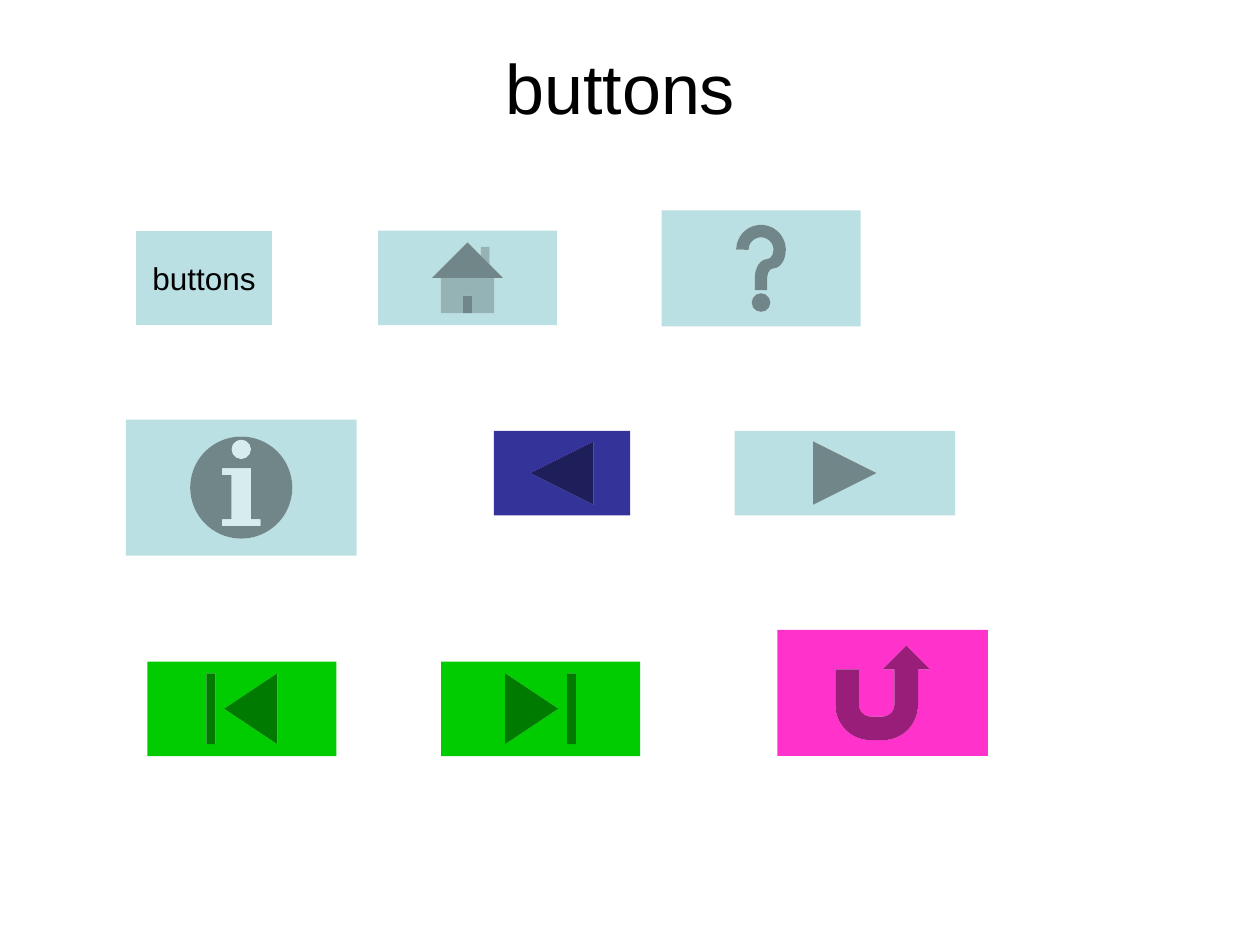
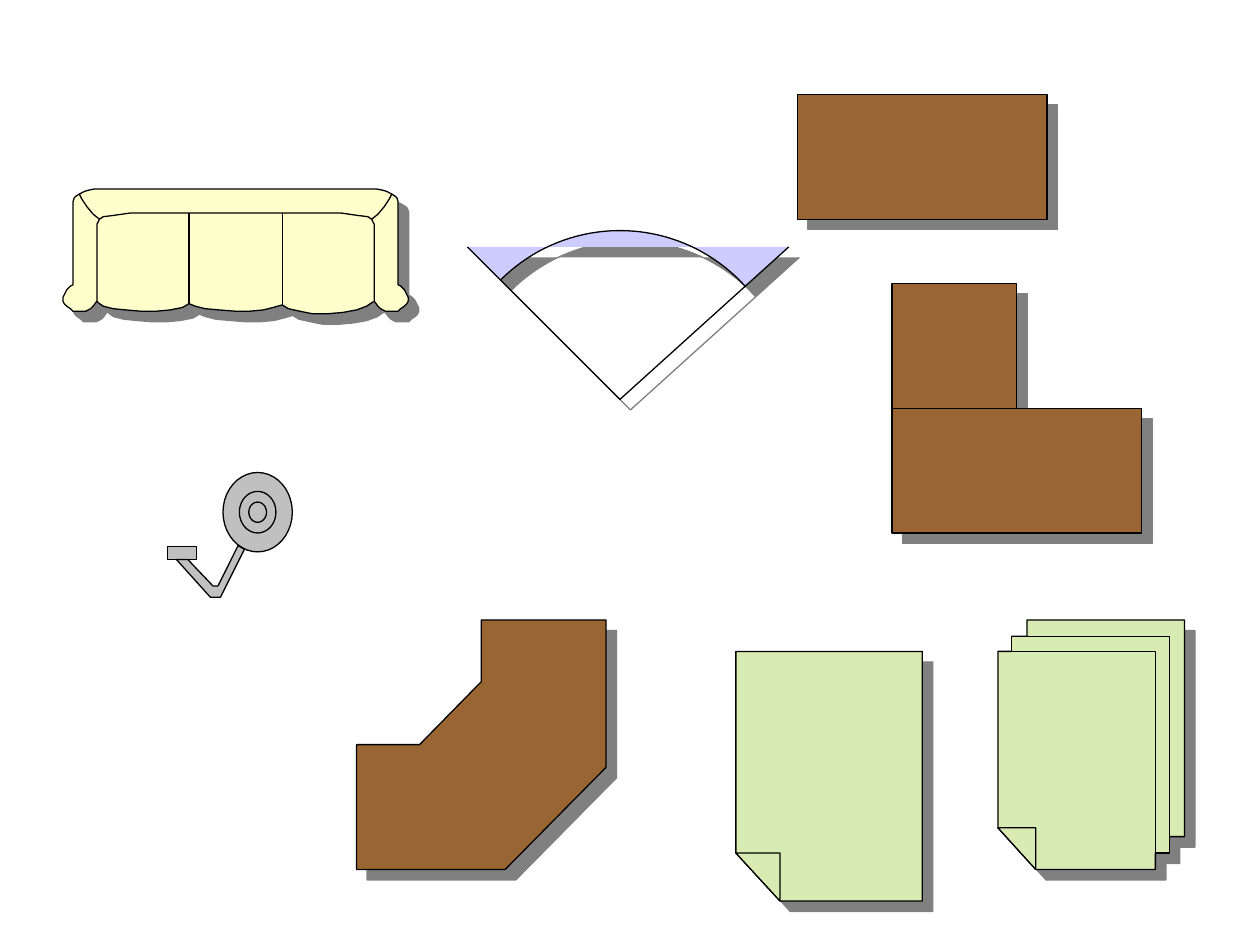
from dataclasses import dataclass
from math import atan2, cos, hypot, pi, sin
from typing import Any

from lxml.etree import SubElement
from pptx import Presentation
from pptx.dml.color import RGBColor
from pptx.enum.shapes import MSO_SHAPE
from pptx.enum.text import MSO_ANCHOR, PP_ALIGN
from pptx.oxml.ns import qn
from pptx.util import Emu, Pt

PX = 9144
SLIDE_W, SLIDE_H = 1000, 750

BLACK = RGBColor(0x00, 0x00, 0x00)
AQUA = RGBColor(0xBB, 0xE0, 0xE3)
NAVY = RGBColor(0x33, 0x33, 0x99)
GREEN = RGBColor(0x00, 0xCC, 0x00)
PINK = RGBColor(0xFF, 0x33, 0xCC)
CREAM = RGBColor(0xFF, 0xFF, 0xCC)
LILAC = RGBColor(0xCC, 0xCC, 0xFF)
BROWN = RGBColor(0x99, 0x66, 0x33)
SILVER = RGBColor(0xC0, 0xC0, 0xC0)
PAPER = RGBColor(0xD8, 0xEB, 0xB3)
SHADE = RGBColor(0x80, 0x80, 0x80)

FONT = {"name": "Arial"}
TITLE_FRAME = {"word_wrap": True, "vertical_anchor": MSO_ANCHOR.MIDDLE}
LABEL_FRAME = {"word_wrap": False, "vertical_anchor": MSO_ANCHOR.MIDDLE}
SHADOW = {"blurRad": "0", "dist": str(Pt(8.5)), "dir": "2700000",
          "algn": "ctr", "rotWithShape": "0"}

Point = tuple[float, float]


@dataclass(frozen=True)
class Button:
    kind: MSO_SHAPE
    x: int
    y: int
    w: int
    h: int
    color: RGBColor = AQUA
    label: str = ""


@dataclass(frozen=True)
class Contour:
    points: list[Point]
    closed: bool = True


@dataclass(frozen=True)
class Figure:
    color: RGBColor
    contours: list[Contour]
    shadow: bool = True


BUTTONS = [
    Button(MSO_SHAPE.ACTION_BUTTON_CUSTOM, 108, 183, 108, 75, label="buttons"),
    Button(MSO_SHAPE.ACTION_BUTTON_HOME, 300, 183, 142, 75),
    Button(MSO_SHAPE.ACTION_BUTTON_HELP, 525, 167, 158, 92),
    Button(MSO_SHAPE.ACTION_BUTTON_INFORMATION, 100, 333, 183, 108),
    Button(MSO_SHAPE.ACTION_BUTTON_BACK_OR_PREVIOUS, 392, 342, 108, 67, NAVY),
    Button(MSO_SHAPE.ACTION_BUTTON_FORWARD_OR_NEXT, 583, 342, 175, 67),
    Button(MSO_SHAPE.ACTION_BUTTON_BEGINNING, 117, 525, 150, 75, GREEN),
    Button(MSO_SHAPE.ACTION_BUTTON_END, 350, 525, 158, 75, GREEN),
    Button(MSO_SHAPE.ACTION_BUTTON_RETURN, 617, 500, 167, 100, PINK),
]


def emu(px: float) -> Emu:
    return Emu(round(px * PX))


def apply(target: Any, values: dict[str, Any]) -> None:
    for name, value in values.items():
        setattr(target, name, value)


def write(tf: Any, text: str, size: int, frame: dict[str, Any]) -> None:
    apply(tf, frame)
    p = tf.paragraphs[0]
    p.alignment = PP_ALIGN.CENTER
    r = p.add_run()
    r.text = text
    apply(r.font, FONT | {"size": Pt(size)})
    r.font.color.rgb = BLACK


def paint(sp: Any, color: RGBColor) -> None:
    sp.shadow.inherit = False
    sp.fill.solid()
    sp.fill.fore_color.rgb = color


def add_title(s: Any, text: str) -> None:
    sp = s.shapes.add_textbox(emu(50), emu(30), emu(900), emu(78))
    write(sp.text_frame, text, 40, TITLE_FRAME)


def add_button(s: Any, b: Button) -> None:
    sp = s.shapes.add_shape(b.kind, emu(b.x), emu(b.y), emu(b.w), emu(b.h))
    paint(sp, b.color)
    sp.line.fill.background()
    if b.label:
        write(sp.text_frame, b.label, 18, LABEL_FRAME)


def split_contours(sp: Any) -> None:
    outline = next(sp._element.iter(qn("a:path")))
    target = outline
    for step in list(outline)[1:]:
        if step.tag == qn("a:moveTo"):
            target = SubElement(outline.getparent(), qn("a:path"),
                                dict(outline.attrib))
        target.append(step)


def add_shadow(sp: Any) -> None:
    effects = sp._element.spPr.find(qn("a:effectLst"))
    outer = SubElement(effects, qn("a:outerShdw"), SHADOW)
    SubElement(outer, qn("a:srgbClr"), val=str(SHADE))


def add_figure(s: Any, f: Figure) -> None:
    builder = None
    for c in f.contours:
        first, *rest = [(emu(x), emu(y)) for x, y in c.points]
        if builder is None:
            builder = s.shapes.build_freeform(*first, scale=1.0)
        else:
            builder.move_to(*first)
        builder.add_line_segments(rest, close=c.closed)
    sp = builder.convert_to_shape()
    split_contours(sp)
    paint(sp, f.color)
    sp.line.color.rgb = BLACK
    sp.line.width = Pt(0.75)
    if f.shadow:
        add_shadow(sp)


def arc(cx: float, cy: float, rx: float, ry: float, start: float = 0,
        end: float = 2 * pi, steps: int = 40) -> list[Point]:
    angles = [start + (end - start) * i / steps for i in range(steps + 1)]
    return [(cx + rx * cos(a), cy + ry * sin(a)) for a in angles]


def rectangle(x: int, y: int, w: int, h: int) -> Contour:
    return Contour([(x, y), (x + w, y), (x + w, y + h), (x, y + h)])


def sofa() -> Figure:
    middle = 187

    def mirror(points: list[Point]) -> list[Point]:
        return [(2 * middle - x, y) for x, y in reversed(points)]

    right_side = [(middle, 150), (279, 150), (293, 150), (299, 150),
                  (304, 151), (307, 152), (311, 154), (314, 156), (315, 157),
                  (316, 160), (316, 163), (316, 226), (318, 227), (321, 230),
                  (323, 234), (324, 236), (324, 239), (323, 241), (321, 243),
                  (318, 245), (316, 247), (313, 247), (309, 247), (306, 247),
                  (302, 245), (300, 243), (297, 239)]
    cushions = [(291, 243), (283, 246), (272, 248), (260, 249), (248, 249),
                (238, 247), (229, 245), (224, 242), (217, 244), (209, 246),
                (198, 247), (187, 247), (174, 246), (163, 245), (155, 243),
                (150, 241), (145, 244), (135, 246), (124, 247), (112, 247),
                (100, 246), (90, 245), (82, 243), (79, 241)]
    seat = [(261, 169), (270, 169), (284, 171), (292, 172), (295, 174),
            (296, 176), (297, 178), (297, 239)]
    corner = [(295, 174), (300, 170), (305, 164), (309, 158), (311, 154)]
    return Figure(CREAM, [
        Contour(right_side + cushions + mirror(right_side)),
        Contour(mirror(seat) + seat, False),
        Contour(corner, False),
        Contour(mirror(corner), False),
        Contour([(150, 169), (150, 241)], False),
        Contour([(224, 169), (224, 242)], False),
    ])


def corner_door() -> Figure:
    hinge, left, right = (492, 317), (371, 196), (626, 196)
    radius = 134
    start, end = (atan2(y - hinge[1], x - hinge[0])
                  for x, y in (left, right))
    swing = arc(*hinge, radius, radius, start, end)
    return Figure(LILAC, [Contour([left, hinge, *swing, hinge, right], False)])


def reel() -> Figure:
    rings = [Contour(arc(204.5, 406.5, rx, ry))
             for rx, ry in ((27.5, 31.5), (14.5, 16.5), (7, 8))]
    handle = [(169, 465), (173, 465), (189, 433), (194, 436), (175, 474),
              (167, 474), (140, 444), (149, 444), (169, 465)]
    return Figure(SILVER, [*rings, rectangle(133, 434, 23, 10),
                           Contour(handle, False)], False)


def folded_page() -> Figure:
    return Figure(PAPER, [
        Contour([(584, 517), (732, 517), (732, 715), (619, 715), (584, 677)]),
        Contour([(584, 677), (619, 677), (619, 715)]),
    ])


def page_stack() -> Figure:
    return Figure(PAPER, [
        Contour([(792, 657), (792, 517), (803, 517), (803, 505), (815, 505),
                 (815, 492), (940, 492), (940, 664), (928, 664), (928, 677),
                 (917, 677), (917, 690), (822, 690)]),
        Contour([(803, 505), (928, 505), (928, 677), (917, 677), (917, 517),
                 (803, 517)]),
        Contour([(792, 657), (822, 657), (822, 690)]),
    ])


def desks() -> list[Figure]:
    l_desk = [(807, 324), (807, 225), (708, 225), (708, 423), (906, 423),
              (906, 324), (708, 324)]
    angled = [(382, 492), (481, 492), (481, 609), (401, 690), (283, 690),
              (283, 591), (333, 591), (382, 541)]
    contours = [rectangle(633, 75, 198, 99), Contour(l_desk), Contour(angled)]
    return [Figure(BROWN, [c]) for c in contours]


def main() -> None:
    prs = Presentation()
    prs.slide_width, prs.slide_height = emu(SLIDE_W), emu(SLIDE_H)
    blank = prs.slide_layouts[6]

    s = prs.slides.add_slide(blank)
    add_title(s, "buttons ")
    for b in BUTTONS:
        add_button(s, b)

    s = prs.slides.add_slide(blank)
    for f in [sofa(), corner_door(), *desks(), reel(), folded_page(),
              page_stack()]:
        add_figure(s, f)

    prs.save("out.pptx")


if __name__ == "__main__":
    main()
